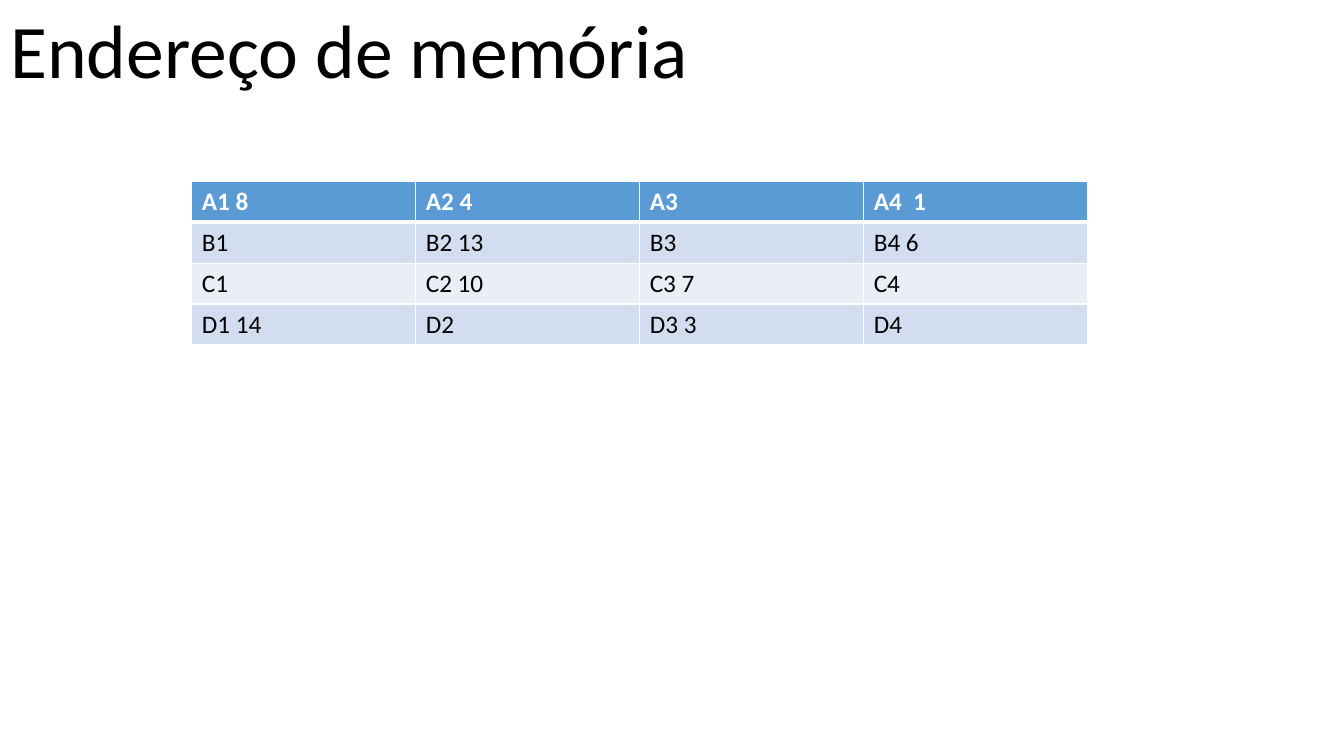
from lxml import etree
from pptx import Presentation
from pptx.dml.color import RGBColor
from pptx.enum import text
from pptx.oxml import ns
from pptx.util import Pt

BLACK = RGBColor(0x00, 0x00, 0x00)
WHITE = RGBColor(0xFF, 0xFF, 0xFF)
HEADER_BLUE = RGBColor(0x5B, 0x9B, 0xD5)
BAND_DARK = RGBColor(0xD2, 0xDE, 0xEF)
BAND_LIGHT = RGBColor(0xEA, 0xEF, 0xF7)

FONT = "Calibri"
MEMORY_ROWS = [
    ["A1 8", "A2 4", "A3", "A4  1"],
    ["B1", "B2 13", "B3", "B4 6"],
    ["C1", "C2 10", "C3 7", "C4"],
    ["D1 14", "D2", "D3 3", "D4"],
]


def write(paragraph, content, size, color, bold=False):
    run = paragraph.add_run()
    run.text = content
    for name, value in {"name": FONT, "size": Pt(size), "bold": bold}.items():
        setattr(run.font, name, value)
    run.font.color.rgb = color


def set_borders(cell, widths):
    """Draw white cell borders; widths maps an edge (L, R, T, B) to points."""
    properties = cell._tc.get_or_add_tcPr()
    for edge, width in widths.items():
        line = etree.SubElement(properties, ns.qn(f"a:ln{edge}"), w=str(Pt(width)))
        fill = etree.SubElement(line, ns.qn("a:solidFill"))
        etree.SubElement(fill, ns.qn("a:srgbClr"), val=str(WHITE))


def add_title(slide, left, top, width, height, content):
    shape = slide.shapes.add_textbox(Pt(left), Pt(top), Pt(width), Pt(height))
    frame = shape.text_frame
    frame.word_wrap = False
    frame.vertical_anchor = text.MSO_ANCHOR.BOTTOM
    paragraph = frame.paragraphs[0]
    paragraph.alignment = text.PP_ALIGN.CENTER
    paragraph.line_spacing = 0.9
    write(paragraph, content, 54, BLACK)


def add_memory_table(slide, left, top, width, height, rows):
    table = slide.shapes.add_table(
        len(rows), len(rows[0]), Pt(left), Pt(top), Pt(width), Pt(height)
    ).table
    for row_index, row in enumerate(rows):
        header = row_index == 0
        band = BAND_DARK if row_index % 2 else BAND_LIGHT
        for column_index, content in enumerate(row):
            cell = table.cell(row_index, column_index)
            set_borders(cell, {
                "L": 1,
                "R": 1,
                "T": 3 if row_index == 1 else 1,
                "B": 3 if header else 1,
            })
            cell.fill.solid()
            cell.fill.fore_color.rgb = HEADER_BLUE if header else band
            write(cell.text_frame.paragraphs[0], content, 18,
                  WHITE if header else BLACK, bold=header)


def main():
    presentation = Presentation()
    presentation.slide_width = Pt(960)
    presentation.slide_height = Pt(540)
    slide = presentation.slides.add_slide(presentation.slide_layouts[6])
    add_title(slide, 0, 21.6, 499, 49.7, "Endereço de memória")
    add_memory_table(slide, 137, 129.6, 640, 116.8, MEMORY_ROWS)
    presentation.save("out.pptx")


if __name__ == "__main__":
    main()
